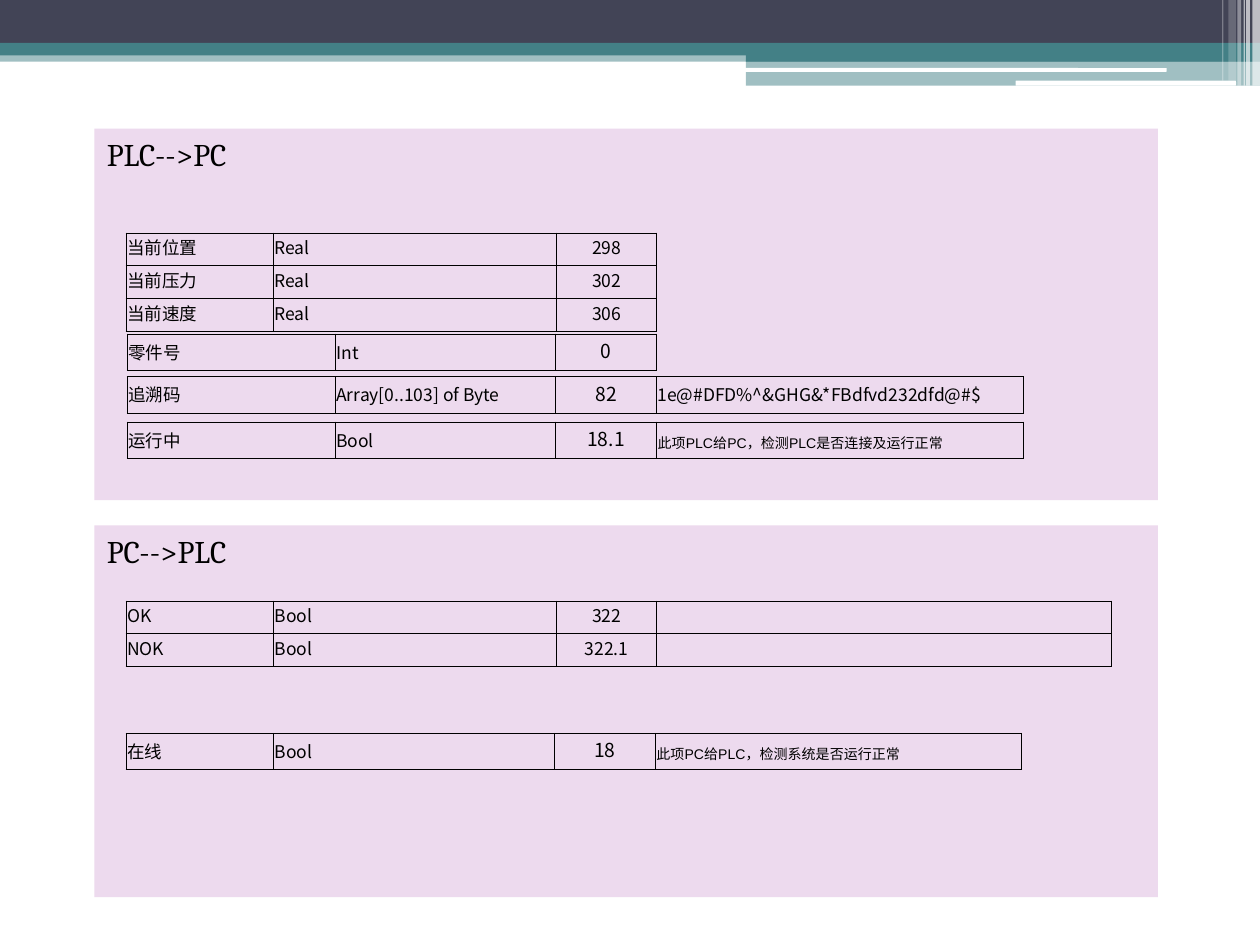
"""Build the slide of PLC and PC signal tables."""
import lxml.etree
import pptx
import pptx.util
import pptx.dml.color
import pptx.enum.shapes
import pptx.enum.text
import pptx.oxml.ns

Inches = pptx.util.Inches
Pt = pptx.util.Pt
RGB = pptx.dml.color.RGBColor
SHAPE = pptx.enum.shapes.MSO_SHAPE
ANCHOR = pptx.enum.text.MSO_ANCHOR
ALIGN = pptx.enum.text.PP_ALIGN
qn = pptx.oxml.ns.qn

NAVY = RGB(0x42, 0x44, 0x56)
TEAL = RGB(0x43, 0x80, 0x86)
WHITE = RGB(0xFF, 0xFF, 0xFF)
LILAC = RGB(0xED, 0xDA, 0xEE)
BLACK = RGB(0, 0, 0)
NOTO = "Noto Sans CJK SC"

deck = pptx.Presentation()
deck.slide_width, deck.slide_height = Inches(10), Inches(7.5)
slide = deck.slides.add_slide(deck.slide_layouts[6])


def add_box(left, top, width, height, color, alpha=100, kind=SHAPE.RECTANGLE):
    box = slide.shapes.add_shape(
        kind, Inches(left), Inches(top), Inches(width), Inches(height))
    box.shadow.inherit = False
    box.line.fill.background()
    box.fill.solid()
    box.fill.fore_color.rgb = color
    if alpha < 100:
        tint = box.fill._xPr.find(".//" + qn("a:srgbClr"))
        lxml.etree.SubElement(tint, qn("a:alpha"), val=str(alpha * 1000))
    return box


def add_grid(left, top, widths, height, size, rows):
    frame = slide.shapes.add_table(
        len(rows), len(widths), Inches(left), Inches(top),
        Inches(sum(widths)), Inches(height * len(rows)))
    grid = frame.table
    grid.first_row = grid.horz_banding = False
    for col, width in zip(grid.columns, widths):
        col.width = Inches(width)
    for r, row in enumerate(rows):
        for c, text in enumerate(row):
            cell = grid.cell(r, c)
            cell.margin_left = cell.margin_right = cell.margin_top = Inches(0.01)
            cell.margin_bottom = Inches(0.05)
            cell.vertical_anchor = ANCHOR.MIDDLE if c == 2 else ANCHOR.BOTTOM
            props = cell._tc.get_or_add_tcPr()
            for side in ("lnL", "lnR", "lnT", "lnB"):
                edge = lxml.etree.SubElement(props, qn("a:" + side), w=str(Pt(0.5)))
                fill = lxml.etree.SubElement(edge, qn("a:solidFill"))
                lxml.etree.SubElement(fill, qn("a:srgbClr"), val=str(BLACK))
            cell.fill.background()
            para = cell.text_frame.paragraphs[0]
            if not text:
                lxml.etree.SubElement(para._p, qn("a:endParaRPr"), sz="1000")
                continue
            para.text = text
            note = text.startswith("此项")
            para.font.size = Pt(8 if note else size if c == 2 else 10)
            para.font.name = "Arial" if text[0] >= "一" else NOTO
            para.font.color.rgb = BLACK
            if c == 2:
                para.alignment = ALIGN.CENTER


for band in (
    (0, 0.4, 10, 0.09, TEAL, 50),
    (0, 0, 10, 0.34, NAVY),
    (0, 0.34, 10, 0.1, TEAL),
    (5.92, 0.39, 4.08, 0.1, TEAL),
    (5.92, 0.48, 4.08, 0.2, TEAL, 50),
    (5.91, 0.54, 3.35, 0.03, WHITE, 100, SHAPE.ROUNDED_RECTANGLE),
    (8.06, 0.64, 1.75, 0.04, WHITE, 100, SHAPE.ROUNDED_RECTANGLE),
    (9.94, 0, 0.06, 0.68, WHITE, 65),
    (9.89, 0, 0.03, 0.68, WHITE, 65),
    (9.87, 0, 0.01, 0.68, WHITE, 60),
    (9.82, 0, 0.03, 0.68, WHITE, 40),
    (9.75, 0, 0.06, 0.64, WHITE, 20),
    (9.7, 0, 0.01, 0.64, WHITE, 30),
):
    add_box(*band)

for top, title in ((4.17, "PC-->PLC"), (1.02, "PLC-->PC")):
    panel = add_box(0.75, top, 8.44, 2.95, LILAC)
    panel.text_frame.vertical_anchor = ANCHOR.TOP
    para = panel.text_frame.paragraphs[0]
    para.text = title
    para.alignment = ALIGN.LEFT
    para.font.size = Pt(18)
    para.font.name = "Cambria"
    para.font.color.rgb = BLACK

NARROW = [1.17, 2.25, 0.79]
WIDE = [1.65, 1.75, 0.8]
NOTE = 2.91

add_grid(1, 1.85, NARROW, 0.26, 10, [
    ("当前位置", "Real", "298"),
    ("当前压力", "Real", "302"),
    ("当前速度", "Real", "306")])
add_grid(1.01, 2.65, WIDE, 0.29, 11, [("零件号", "Int", "0")])
add_grid(1.01, 2.99, WIDE + [NOTE], 0.29, 11, [
    ("追溯码", "Array[0..103] of Byte", "82", "1e@#DFD%^&GHG&*FBdfvd232dfd@#$")])
add_grid(1, 4.77, NARROW + [3.61], 0.26, 10, [
    ("OK", "Bool", "322", ""),
    ("NOK", "Bool", "322.1", "")])
add_grid(1, 5.82, [1.17, 2.23, 0.8, NOTE], 0.29, 11, [
    ("在线", "Bool", "18", "此项PC给PLC，检测系统是否运行正常")])
add_grid(1.01, 3.35, WIDE + [NOTE], 0.29, 11, [
    ("运行中", "Bool", "18.1", "此项PLC给PC，检测PLC是否连接及运行正常")])

deck.save("out.pptx")
